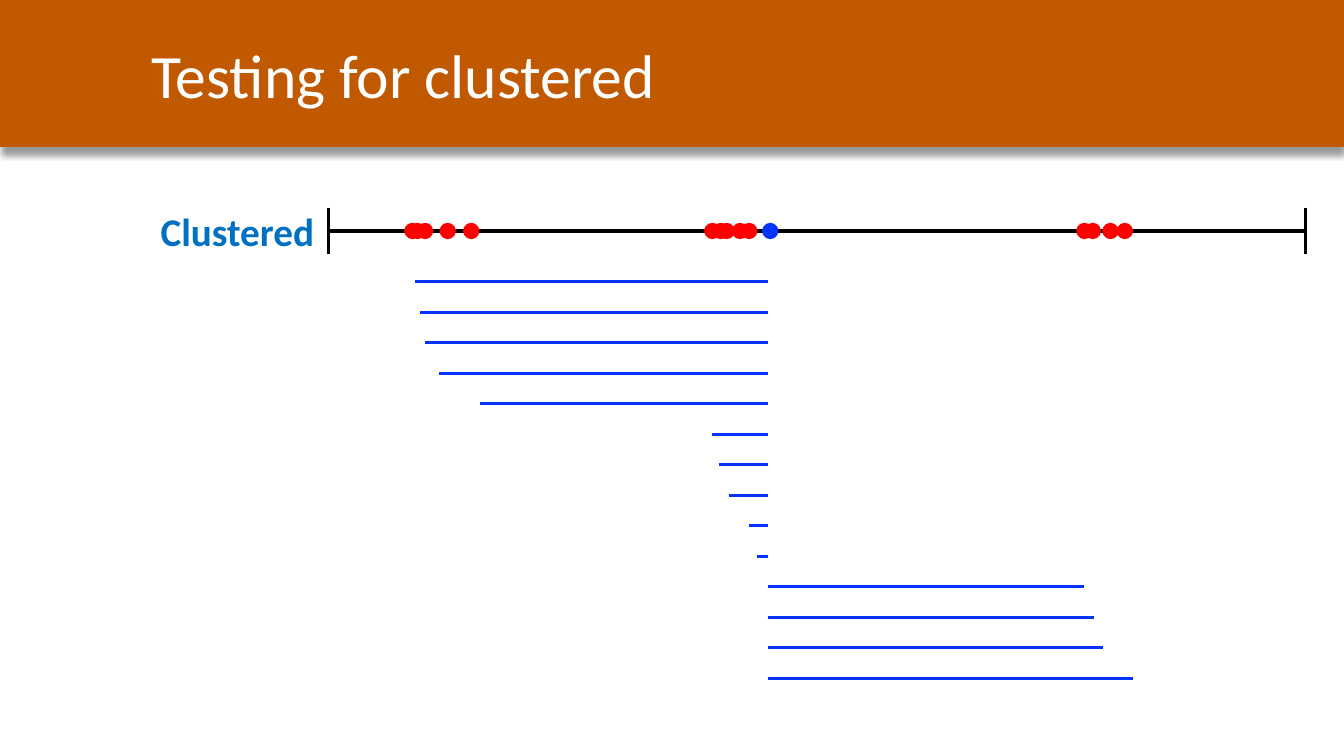
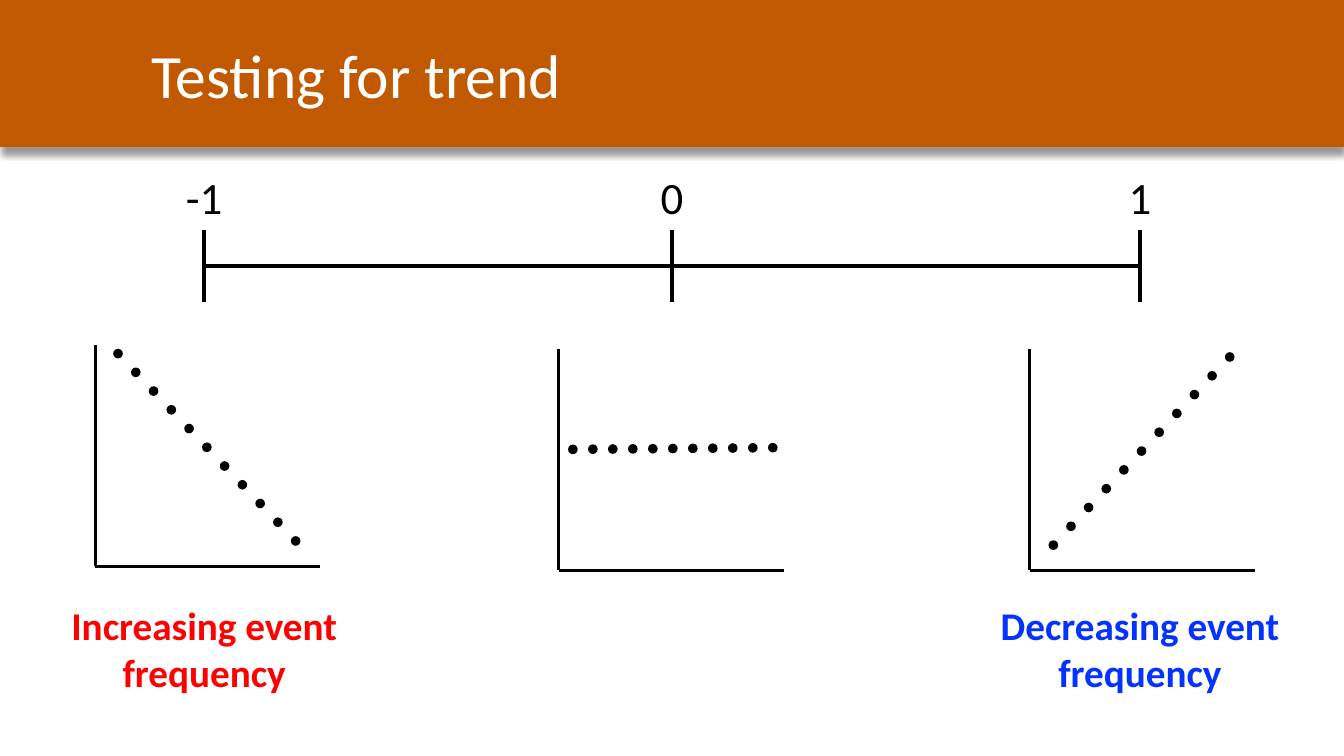
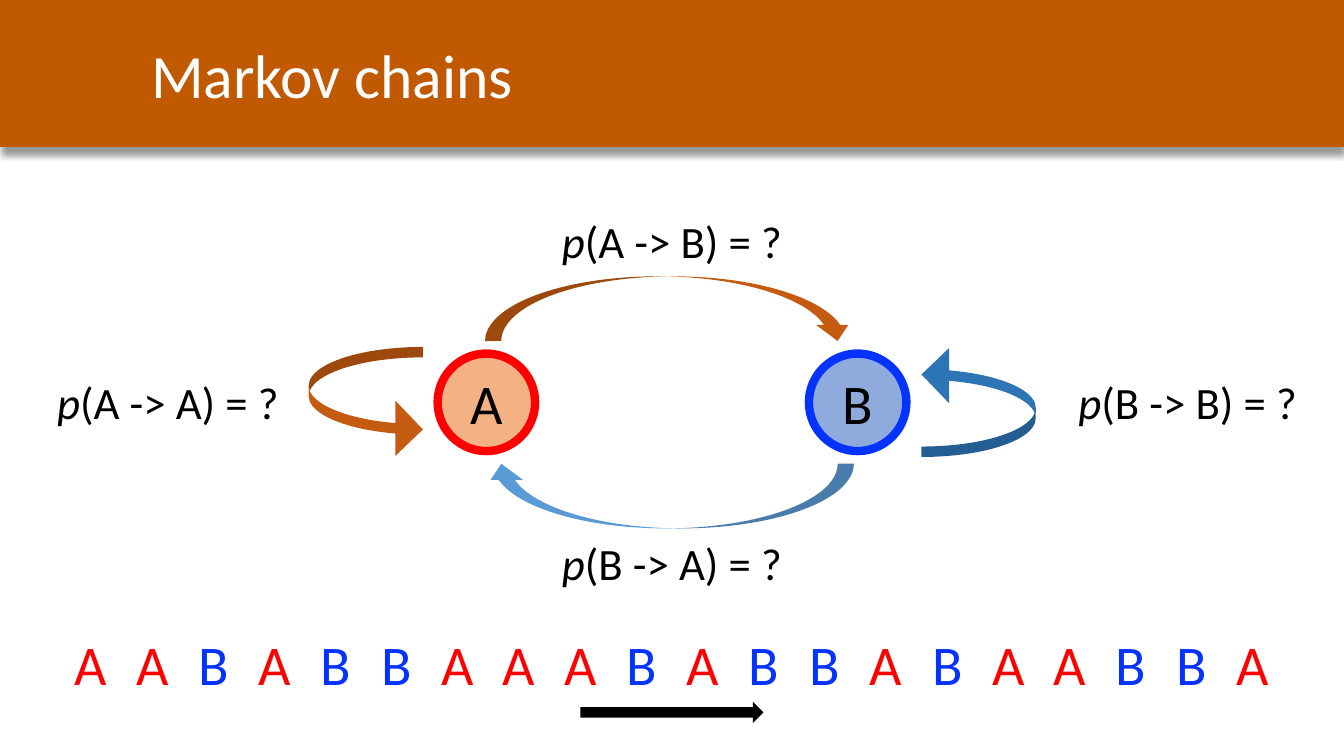
"""Build three slides on event clustering, event trend and Markov chains."""
import lxml.etree
import pptx
import pptx.dml.color
import pptx.enum.shapes
import pptx.enum.text
import pptx.oxml.ns
import pptx.util

COLUMNS, ROWS = 160, 90
CELL = pptx.util.Pt(6)
KINDS = pptx.enum.shapes.MSO_SHAPE
ALIGN = pptx.enum.text.PP_ALIGN
ANCHOR = pptx.enum.text.MSO_ANCHOR
FIT = pptx.enum.text.MSO_AUTO_SIZE

THEME = {
    "ink": {
        "band": "C15900", "white": "FFFFFF", "black": "000000", "red": "FF0000",
        "blue": "0432FF", "heading": "0070C0", "peach": "F4B183",
        "periwinkle": "8FAADC", "rust": "C55A11", "sky": "5B9BD5", "steel": "2E75B6",
    },
    "type": {
        "title": {"name": "Calibri", "size": pptx.util.Pt(44), "bold": False},
        "state": {"name": "Calibri", "size": pptx.util.Pt(40), "bold": False},
        "value": {"name": "Calibri", "size": pptx.util.Pt(32), "bold": False},
        "caption": {"name": "Calibri", "size": pptx.util.Pt(28), "bold": True},
    },
    "frame": {
        "title": {"vertical_anchor": ANCHOR.MIDDLE, "auto_size": FIT.NONE, "word_wrap": True},
        "label": {"word_wrap": False, "auto_size": FIT.SHAPE_TO_FIT_TEXT},
        "state": {"word_wrap": False, "vertical_anchor": ANCHOR.MIDDLE, "margin_left": 0,
                  "margin_right": 0, "margin_top": 0, "margin_bottom": 0},
    },
}
INK = {name: pptx.dml.color.RGBColor.from_string(code) for name, code in THEME["ink"].items()}


def solid(page, kind, left, top, width, height, ink):
    """Add a filled shape without outline, measured in grid cells."""
    shape = page.shapes.add_shape(kind, *[round(CELL * side) for side in (left, top, width, height)])
    shape.shadow.inherit = False
    shape.fill.solid()
    shape.fill.fore_color.rgb = INK[ink]
    shape.line.fill.background()
    return shape


def write(frame, layout, lines, style, ink, align=ALIGN.CENTER):
    """Write lines of (text, italic) spans into a text frame."""
    for name, value in THEME["frame"][layout].items():
        setattr(frame, name, value)
    for index, line in enumerate(lines):
        para = frame.add_paragraph() if index else frame.paragraphs[0]
        para.alignment = align
        for text, italic in line:
            span = para.add_run()
            span.text = text
            for name, value in THEME["type"][style].items():
                setattr(span.font, name, value)
            span.font.italic = italic
            span.font.color.rgb = INK[ink]


deck = pptx.Presentation()
deck.slide_width, deck.slide_height = CELL * COLUMNS, CELL * ROWS
layout = deck.slide_layouts.get_by_name("Title Only")
for name, cells in {"left": 16.8, "top": 1.4, "width": 143.2, "height": 14.7}.items():
    setattr(layout.placeholders[0], name, round(CELL * cells))

pages = []
for heading in ("Testing for clustered", "Testing for trend", "Markov chains"):
    page = deck.slides.add_slide(layout)
    write(page.shapes.title.text_frame, "title", [[(heading, False)]], "title", "white", ALIGN.LEFT)
    pages.append(page)
clustered, trend, markov = pages

band = solid(clustered, KINDS.RECTANGLE, 0, 0, COLUMNS, 17.5, "band")
effects = band.element.spPr.find(pptx.oxml.ns.qn("a:effectLst"))
shadow = lxml.etree.SubElement(
    effects, pptx.oxml.ns.qn("a:outerShdw"), blurRad=str(pptx.util.Pt(4)),
    dist=str(pptx.util.Pt(6)), dir="5400000", algn="t", rotWithShape="0")
tint = lxml.etree.SubElement(shadow, pptx.oxml.ns.qn("a:srgbClr"), val=THEME["ink"]["black"])
lxml.etree.SubElement(tint, pptx.oxml.ns.qn("a:alpha"), val="40000")
layout.shapes.element.insert(2, band.element)

axis_row, axis_start, axis_end = 27.5, 39.15, 155.4
scale_row, scale_marks = 31.7, [24.3, 80, 135.7]
plots = [
    (11.35, 67.4, (14.05, 42.1), (35.2, 64.4)),
    (66.5, 67.9, (68.2, 53.5), (92, 53.3)),
    (122.6, 67.9, (125.4, 64.9), (146.4, 42.5)),
]
reaches = [49.4, 50, 50.6, 52.3, 57.1, 84.8, 85.6, 86.8, 89.2, 90.1, 129.1, 130.2, 131.3, 134.9]

strokes = [(clustered, axis_start, axis_row, axis_end, axis_row, "black", 2.25)]
for column in (axis_start, axis_end):
    strokes.append((clustered, column, axis_row - 2.75, column, axis_row + 2.75, "black", 2.25))
for index, reach in enumerate(reaches):
    row = 33.55 + 3.63 * index
    strokes.append((clustered, 91.4, row, reach, row, "blue", 2.25))
strokes.append((trend, scale_marks[0], scale_row, scale_marks[-1], scale_row, "black", 3))
for column in scale_marks:
    strokes.append((trend, column, scale_row - 4.3, column, scale_row + 4.3, "black", 3))
for left, base, first, last in plots:
    strokes.append((trend, left, base - 26.3, left, base, "black", 2.25))
    strokes.append((trend, left, base, left + 26.8, base, "black", 2.25))

for page, *ends, ink, weight in strokes:
    line = page.shapes.add_connector(
        pptx.enum.shapes.MSO_CONNECTOR.STRAIGHT, *[round(CELL * end) for end in ends])
    line.line.color.rgb = INK[ink]
    line.line.width = pptx.util.Pt(weight)
    lxml.etree.SubElement(line.element.spPr, pptx.oxml.ns.qn("a:effectLst"))

events = [49.1, 49.7, 50.6, 53.3, 56.1, 84.8, 85.8, 86.5, 88.1, 89.2, 129.1, 130.1, 132.2, 133.9]
dots = [(clustered, column, axis_row, 1.95, "red") for column in events]
dots.append((clustered, 91.7, axis_row, 1.95, "blue"))
for left, base, first, last in plots:
    for step in range(11):
        column, row = [start + (end - start) * step / 10 for start, end in zip(first, last)]
        dots.append((trend, column, row, 1.15, "black"))
for page, column, row, size, ink in dots:
    solid(page, KINDS.OVAL, column - size / 2, row - size / 2, size, size, ink)

state_inks = {"A": "red", "B": "blue"}
for state, left, fill in (("A", 52.1, "peach"), ("B", 96.3, "periwinkle")):
    circle = solid(markov, KINDS.OVAL, left, 42.1, 11.6, 11.6, fill)
    circle.line.color.rgb = INK[state_inks[state]]
    circle.line.width = pptx.util.Pt(6)
    write(circle.text_frame, "state", [[(state, False)]], "state", "black")

arrows = [
    (KINDS.CURVED_DOWN_ARROW, 57.75, 32.9, 43.9, 7.7, "rust", 0, []),
    (KINDS.CURVED_DOWN_ARROW, 57.75, 55.2, 43.9, 7.7, "sky", 180, []),
    (KINDS.CURVED_RIGHT_ARROW, 36.75, 41.3, 13.6, 13.1, "rust", 0, [0.095, 0.5, 0.25]),
    (KINDS.CURVED_RIGHT_ARROW, 109.7, 41.3, 13.6, 13.1, "steel", 180, [0.095, 0.5, 0.25]),
    (KINDS.RIGHT_ARROW, 69.1, 83.55, 21.8, 2.5, "black", 0, []),
]
for kind, left, top, width, height, ink, turn, bends in arrows:
    arrow = solid(markov, kind, left, top, width, height, ink)
    arrow.rotation = turn
    for index, bend in enumerate(bends):
        arrow.adjustments[index] = bend

labels = [(clustered, 28.25, 24.1, 22, [[("Clustered", False)]], "caption", "heading")]
for column, mark in zip(scale_marks, ("-1", "0", "1")):
    labels.append((trend, column, 19.6, 9, [[(mark, False)]], "value", "black"))
for column, word, ink in ((scale_marks[0], "Increasing", "red"), (scale_marks[-1], "Decreasing", "blue")):
    lines = [[(f"{word} event", False)], [("frequency", False)]]
    labels.append((trend, column, 71, 38, lines, "caption", ink))
for column, top, move in ((80, 24.8, "A -> B"), (80, 63.2, "B -> A"), (20, 44, "A -> A"), (141.4, 44, "B -> B")):
    lines = [[("p", True), (f"({move}) = ?", False)]]
    labels.append((markov, column, top, 31, lines, "value", "black"))
for index, state in enumerate("AABABBAAABABBABAABBA"):
    labels.append((markov, 10.85 + 7.28 * index, 74.4, 7.2, [[(state, False)]], "state", state_inks[state]))

for page, column, top, width, lines, style, ink in labels:
    height = 1.2 + 1.2 * len(lines) * THEME["type"][style]["size"] / CELL
    box = page.shapes.add_textbox(
        *[round(CELL * side) for side in (column - width / 2, top, width, height)])
    write(box.text_frame, "label", lines, style, ink)

deck.save("out.pptx")
